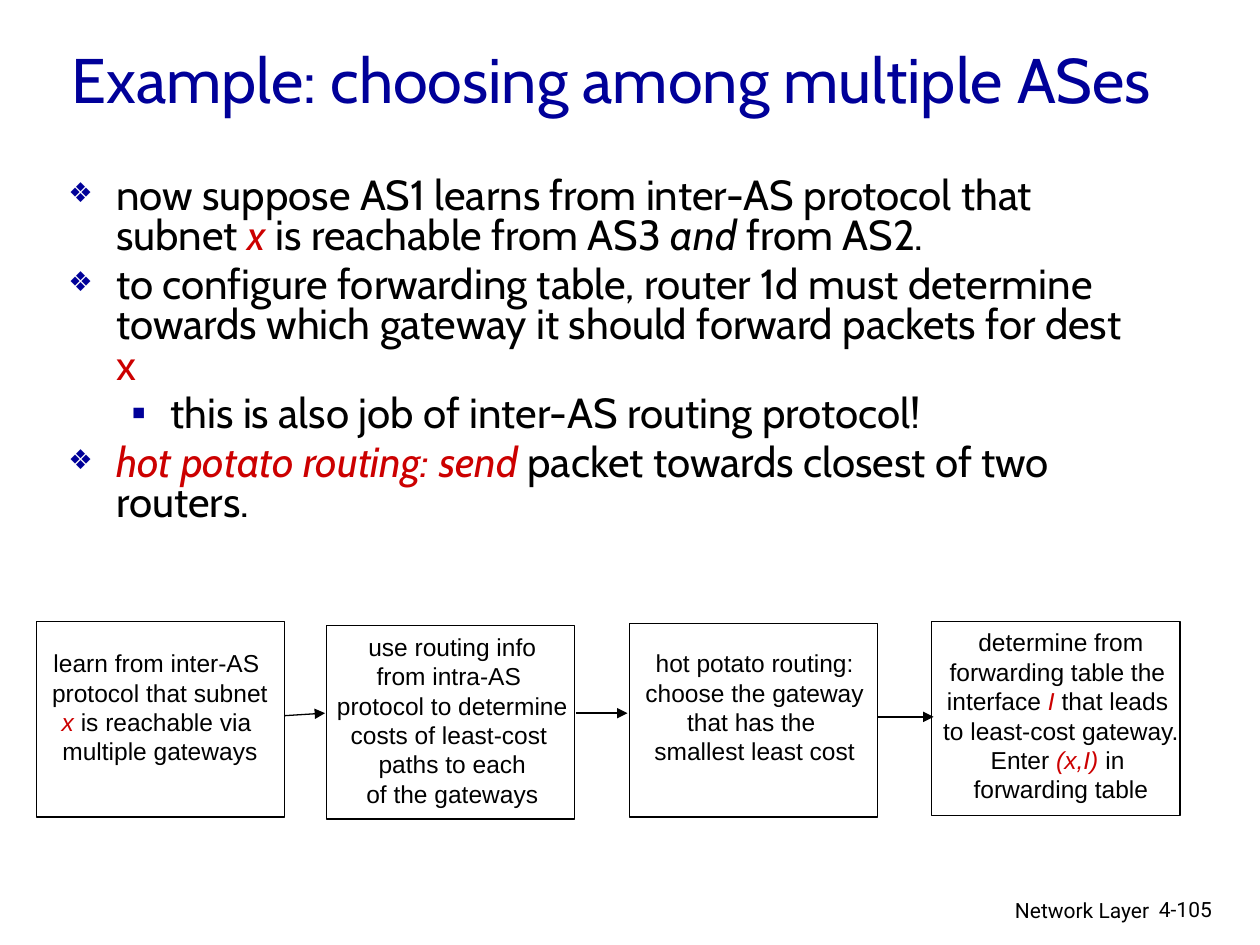
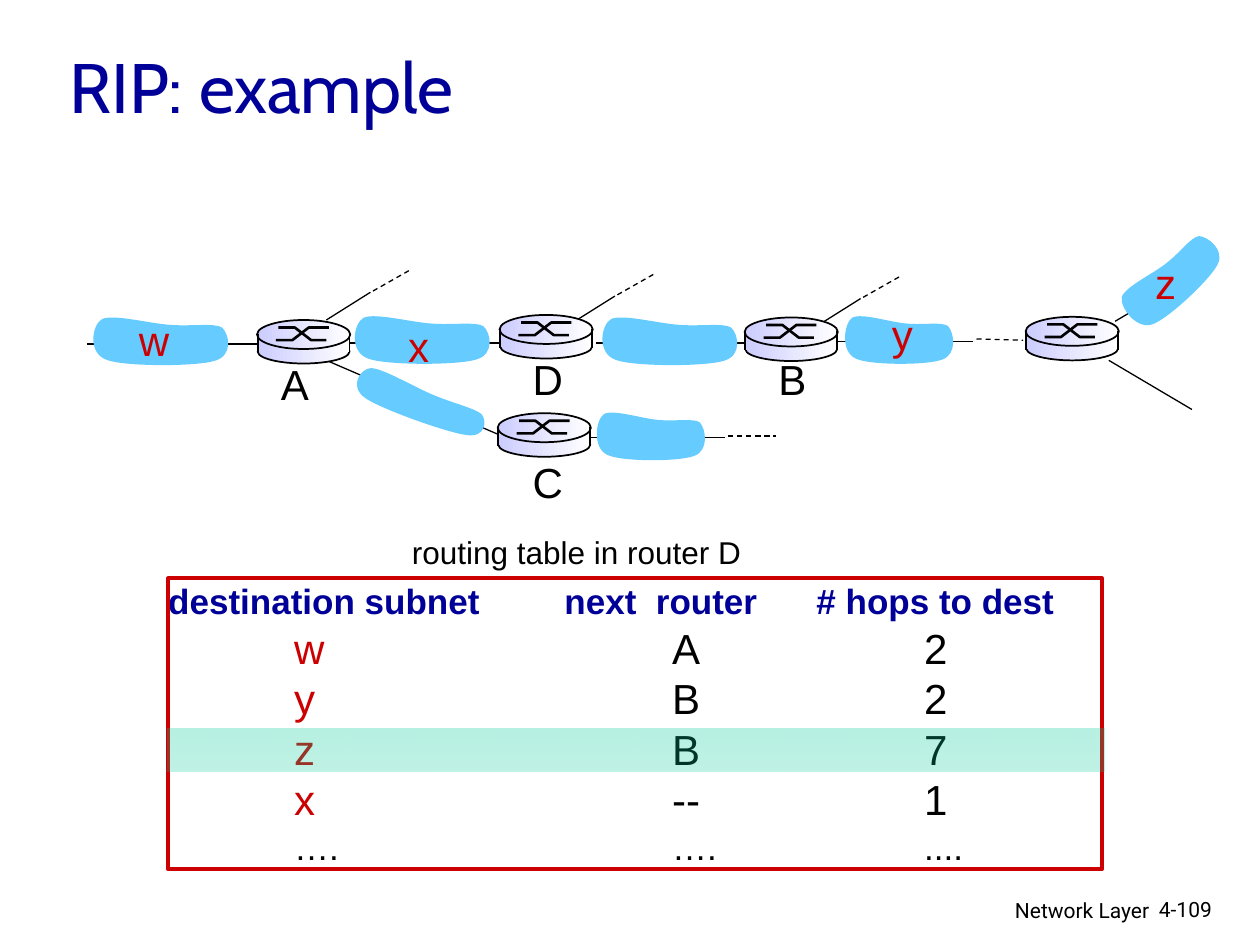
from pptx import Presentation
from pptx.util import Pt, Inches
from pptx.dml.color import RGBColor as RGB
from pptx.enum.dml import MSO_LINE as Dash
from pptx.enum.shapes import MSO_SHAPE as Shape, MSO_CONNECTOR as Conn
from pptx.enum.text import MSO_ANCHOR as Anchor, PP_ALIGN as Align
from pptx.oxml.ns import qn
from lxml.etree import SubElement as Sub

COLORS = {"ink": "000000", "navy": "000099", "red": "CC0000", "sky": "66CCFF",
          "lilac": "CCCCFF", "white": "FFFFFF", "mint": "00CC99"}
COLS = 100  # grid cells across the slide; 75 rows of the same size go down

# Cloud outline in shares of its box: a start, then three points for each curve
CLOUD = [(.57, .21),
         (.43, .19), (.18, 0), (.1, .1),
         (.03, .21), (0, .74), (.13, .87),
         (.25, 1), (.74, 1), (.87, .89),
         (1, .79), (.97, .38), (.92, .26),
         (.87, .17), (.71, .24), (.57, .21)]


def color(name):
    return RGB.from_string(COLORS[name])


class Deck:
    def __init__(self):
        self.prs = Presentation()
        self.prs.slide_width, self.prs.slide_height = Inches(10), Inches(7.5)
        self.cell = self.prs.slide_width // COLS

    def grid(self, *cells):
        return [round(c * self.cell) for c in cells]

    def slide(self, title, size, box, page):
        self.shapes = self.prs.slides.add_slide(self.prs.slide_layouts[6]).shapes
        self.text(box, [title], size, "Cabin", "navy", anchor=Anchor.MIDDLE)
        self.text((60.5, 70.7, 31.7, 3.1), ["Network Layer"], 12, "Roboto",
                  align=Align.RIGHT)
        self.text((91, 70.7, 7.4, 3), [page], 12, "Roboto")

    def fill_par(self, par, runs, size, face="Arial", tint="ink", bold=False):
        """Runs are plain strings or (text, red?, italic?)."""
        font = par.font
        font.size, font.name, font.bold = Pt(size), face, bold
        font.color.rgb = color(tint)
        for item in [runs] if isinstance(runs, str) else runs:
            words, red, slant = (item, False, False) if isinstance(item, str) else item
            run = par.add_run()
            run.text = words
            if red:
                run.font.color.rgb = color("red")
            if slant:
                run.font.italic = True

    def text(self, box, lines, size, face="Arial", tint="ink", align=Align.LEFT,
             anchor=Anchor.TOP, wrap=True):
        frame = self.shapes.add_textbox(*self.grid(*box)).text_frame
        frame.word_wrap, frame.vertical_anchor = wrap, anchor
        for i, runs in enumerate(lines):
            par = frame.add_paragraph() if i else frame.paragraphs[0]
            par.alignment = align
            self.fill_par(par, runs, size, face, tint)
        return frame

    def bullets(self, box, items, size):
        frame = self.text(box, [runs for _, runs in items], size, "Cabin")
        for par, (level, _) in zip(frame.paragraphs, items):
            par.level, par.line_spacing, par.space_before = level, .8, Pt(size / 5)
            left, hang, mark, share = [(3.8, 3.8, "❖", 65), (8.1, 3.1, "▪", 100)][level]
            prop = par._p.get_or_add_pPr()
            left, hang = self.grid(left, hang)
            prop.set("marL", str(left))
            prop.set("indent", str(-hang))
            tint = Sub(prop, qn("a:buClr"))
            Sub(tint, qn("a:srgbClr"), val=COLORS["navy"])
            Sub(prop, qn("a:buSzPct"), val=str(share * 1000))
            Sub(prop, qn("a:buFont"), typeface="Arial")
            Sub(prop, qn("a:buChar"), char=mark)
            prop.append(prop.find(qn("a:defRPr")))  # must stay last

    def paint(self, shape, fill=None, line=None, width=.75):
        """Fill is a colour name, a pair for a gradient, or None."""
        shape.shadow.inherit = False
        if fill is None:
            shape.fill.background()
        elif isinstance(fill, str):
            shape.fill.solid()
            shape.fill.fore_color.rgb = color(fill)
        else:
            shape.fill.gradient()
            shape.fill.gradient_angle = 0
            for stop, name in zip(shape.fill.gradient_stops, fill):
                stop.color.rgb = color(name)
        if line:
            shape.line.color.rgb, shape.line.width = color(line), Pt(width)
        else:
            shape.line.fill.background()
        return shape

    def block(self, box, fill=None, line=None, width=.75, kind=Shape.RECTANGLE):
        return self.paint(self.shapes.add_shape(kind, *self.grid(*box)),
                          fill, line, width)

    def line(self, x1, y1, x2, y2, width=.75, dash=False, arrow=False):
        link = self.shapes.add_connector(Conn.STRAIGHT, *self.grid(x1, y1, x2, y2))
        link.line.color.rgb, link.line.width = color("ink"), Pt(width)
        if dash:
            link.line.dash_style = Dash.DASH
        prop = link.element.spPr
        if arrow:
            Sub(prop.find(qn("a:ln")), qn("a:tailEnd"), type="triangle")
        Sub(prop, qn("a:effectLst"))

    def free(self, pts, close, **look):
        first, *rest = [self.grid(*p) for p in pts]
        pen = self.shapes.build_freeform(*first)
        pen.add_line_segments(rest, close=close)
        return self.paint(pen.convert_to_shape(), **look)

    def subnet(self, x, y, w, h, turn=0):
        shape = self.free([(x + w * px, y + h * py) for px, py in CLOUD], True,
                          fill="sky")
        shape.rotation = turn
        # Every three straight segments become one cubic curve
        trace = next(shape.element.spPr.iter(qn("a:path")))
        end = trace.find(qn("a:close"))
        legs = trace.findall(qn("a:lnTo"))
        for i in range(0, len(legs), 3):
            curve = Sub(trace, qn("a:cubicBezTo"))
            for leg in legs[i:i + 3]:
                curve.append(leg[0])
                trace.remove(leg)
        trace.append(end)

    def branch(self, x, y):
        self.line(x, y, x + 3.5, y - 2.2)
        self.line(x + 3.7, y - 2.3, x + 6.7, y - 4, dash=True)

    def router(self, x, y):
        sheen = ("lilac", "white")
        self.block((x + .05, y + 1.55, 7.3, 1.9), sheen, "ink", 1, Shape.OVAL)
        self.block((x + .05, y + 1.35, 7.3, 1.2), sheen)
        self.block((x, y, 7.4, 2.3), sheen, "ink", 1, Shape.OVAL)
        for left, step, end, y1, y2 in ((1.5, 1.3, 4.2, 1.6, .6),
                                        (1.7, 1.3, 3.8, .6, 1.6)):
            bends = ((0, y1), (step, y1), (2 * step, y2), (end, y2))
            self.free([(x + left + dx, y + dy) for dx, dy in bends], False,
                      line="ink", width=1.5)
        for side in (x + .05, x + 7.35):
            self.line(side, y + 1.1, side, y + 2.6, 1)

    def table(self, x, y, widths, heights, head, rows):
        frame = self.shapes.add_table(len(rows) + 1, len(head), *self.grid(
            x, y, sum(widths), sum(heights)))
        table = frame.table
        table.first_row = table.horz_banding = False
        for col, w in zip(table.columns, self.grid(*widths)):
            col.width = w
        for row, h in zip(table.rows, self.grid(*heights)):
            row.height = h
        for r, words in enumerate([head] + rows):
            for c, word in enumerate(words):
                cell = table.cell(r, c)
                cell.fill.background()
                cell.vertical_anchor = Anchor.MIDDLE
                cell.margin_top = cell.margin_bottom = cell.margin_right = 0
                inset = 10 if r else 1.45 * (c > 0)
                cell.margin_left, = self.grid(inset)
                last = r == len(rows)
                tint = "navy" if r == 0 else "red" if c == 0 and not last else "ink"
                self.fill_par(cell.text_frame.paragraphs[0], word,
                              20 if r == 0 or last else 24, tint=tint, bold=r == 0)


def hot_potato(deck):
    deck.slide("Example: choosing among multiple ASes", 36, (4.7, 0, 95.9, 12.5),
               "4-105")
    deck.bullets((4.45, 13.65, 87.4, 30.1), [
        (0, ["now suppose AS1 learns from inter-AS protocol that subnet ",
             ("x ", True, True), "is reachable from AS3 ", ("and", False, True),
             " from AS2."]),
        (0, ["to configure forwarding table, router 1d must determine towards "
             "which gateway it should forward packets for dest ", ("x", True, False)]),
        (1, "this is also job of inter-AS routing protocol!"),
        (0, [("hot potato routing: send", True, True),
             " packet towards closest of two routers."])], 24)

    # Steps: left, top, height of the frame, then text box, wrap and lines
    steps = [
        (2.9, 49.35, 15.5, (3.05, 50.95, 19.3, 10.4), False,
         ["learn from inter-AS ", "protocol that subnet ",
          [("x ", True, True), "is reachable via "], "multiple gateways"]),
        (25.9, 49.65, 15.35, (24.35, 49.65, 23.1, 15.2), True,
         ["use routing info", "from intra-AS ", "protocol to determine",
          "costs of least-cost ", "paths to each", "of the gateways"]),
        (49.95, 49.5, 15.35, (50.05, 50.95, 19.7, 10.3), True,
         ["hot potato routing:", "choose the gateway", "that has the ",
          "smallest least cost"]),
        (73.95, 49.35, 15.35, (73.75, 49.3, 20.9, 15.1), False,
         ["determine from", "forwarding table the ",
          ["interface", (" I ", True, True), "that leads "],
          "to least-cost gateway. ", ["Enter ", ("(x,I) ", True, True), "in "],
          "forwarding table"])]
    for left, top, high, box, wrap, lines in steps:
        deck.block((left, top, 19.7, high), line="ink")
        deck.text(box, lines, 14, align=Align.CENTER, wrap=wrap)
    for ends in ((22.6, 56.8, 25.8, 56.6), (45.7, 56.6, 49.8, 56.6),
                 (69.7, 56.9, 74.1, 56.9)):
        deck.line(*ends, arrow=True)


def rip(deck):
    deck.slide("RIP: example", 40, (4.5, 2.1, 43.1, 9.4), "4-109")

    # Links
    for x, y in ((27.7, 27.2), (47.3, 27.2), (6.9, 27.3)):
        deck.line(x, y, x + 13.6, y, 1)
    for ends in ((66.5, 27.1, 77.2, 27.1), (88.5, 25.5, 95.1, 21.6),
                 (88, 28.6, 94.6, 32.5), (25.9, 28.6, 39.6, 34.5),
                 (46.8, 34.7, 57.5, 34.7)):
        deck.line(*ends)
    for ends in ((77.5, 26.9, 81.2, 27), (57.8, 34.6, 61.6, 34.6)):
        deck.line(*ends, dash=True)
    for x, y in ((25.9, 25.4), (45.3, 25.7), (64.8, 25.9)):
        deck.branch(x, y)

    # Subnets and routers
    for box in ((6.95, 24.9, 11.6, 4.2), (27.7, 24.8, 11.6, 4.2),
                (47.35, 24.9, 11.6, 4.2), (66.7, 24.8, 9.3, 4.2),
                (47, 32.45, 9.3, 4.2), (27.6, 30.4, 11.6, 3.1, 19.7),
                (88.2, 20.1, 9.5, 4.2, 316.8)):
        deck.subnet(*box)
    for x, y in ((20.4, 25.4), (39.65, 25), (59.1, 25.2), (81.4, 25.15),
                 (39.5, 32.8)):
        deck.router(x, y)

    # Names
    for name, x, y, w in (("w", 10.05, 24.45, 4.4), ("x", 31.4, 24.95, 3.7),
                          ("y", 69.8, 24, 3.7), ("z", 90.7, 19.95, 3.7),
                          ("A", 21.3, 28, 4.2), ("C", 41.3, 35.75, 4.4),
                          ("D", 41.3, 27.6, 4.4), ("B", 60.8, 27.6, 4.2)):
        deck.text((x, y, w, 5), [name], 24, tint="red" if name.islower() else "ink",
                  wrap=False)

    # Routing table with its frame and marked row
    deck.text((31.7, 41.8, 28.1, 4), ["routing table in router D"], 18, wrap=False)
    deck.table(13.35, 46.05, (30, 20, 24.1), (3.5, 4, 4, 4, 4, 3.5),
               ("destination subnet", "next  router", "# hops to dest"),
               [("w", "A", "2"), ("y", "B", "2"), ("z", "B", "7"),
                ("x", "--", "1"), ("….", "….", "....")])
    deck.block((13.35, 45.9, 74.1, 23.1), line="red", width=2.25)
    band = deck.block((13.3, 57.8, 74.4, 3.4), ("mint", "mint"))
    band.fill.gradient_angle = 270
    for tint, share in zip(band.element.spPr.iter(qn("a:srgbClr")), (29, 25)):
        Sub(tint, qn("a:alpha"), val=str(share * 1000))


def main():
    deck = Deck()
    hot_potato(deck)
    rip(deck)
    deck.prs.save("out.pptx")


if __name__ == "__main__":
    main()
